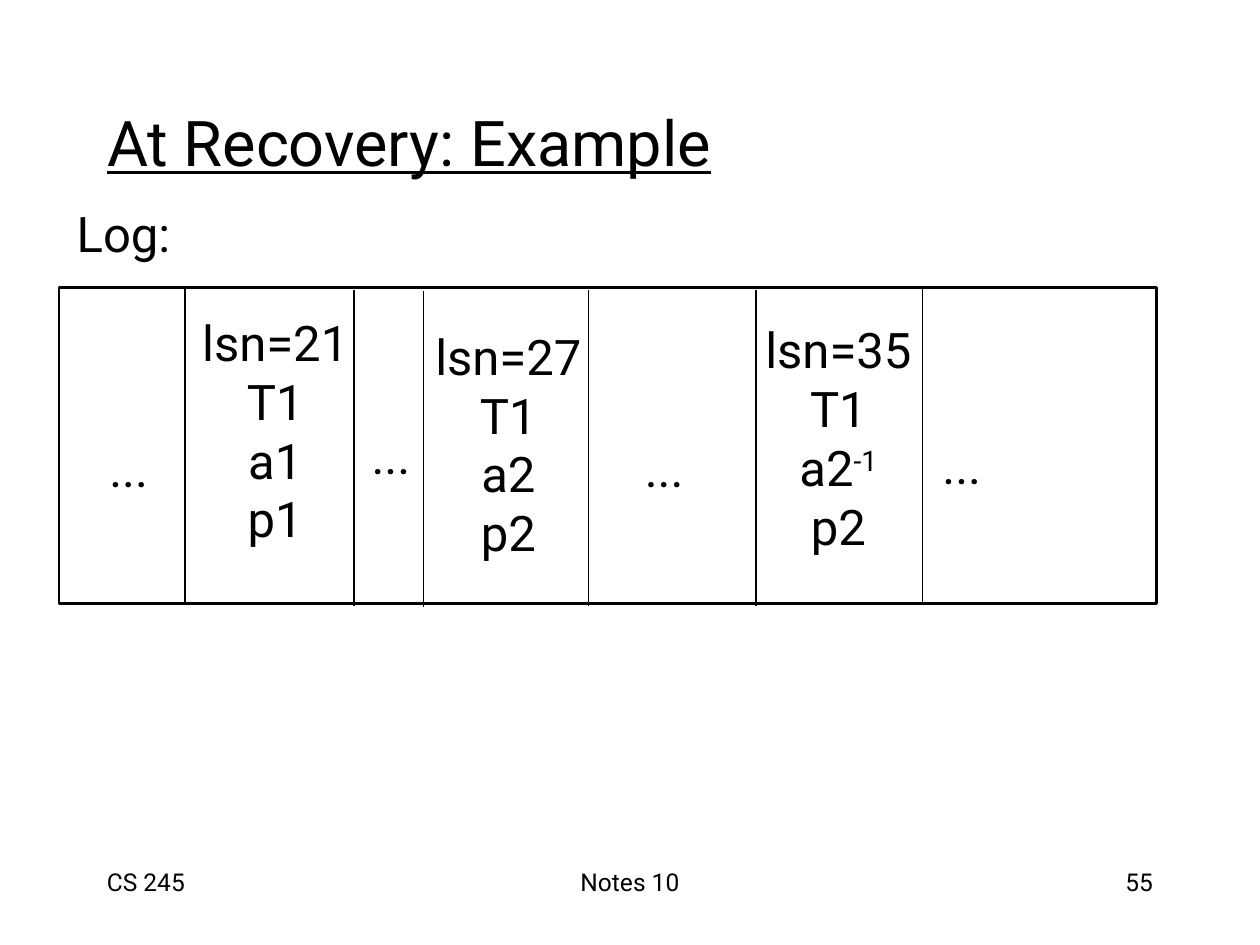
import pptx
import pptx.util
import pptx.dml.color
import pptx.enum.shapes
import pptx.enum.text
import pptx.oxml.ns
import lxml.etree

Pt = pptx.util.Pt
ALIGN = pptx.enum.text.PP_ALIGN
ANCHOR = pptx.enum.text.MSO_ANCHOR
COLORS = {"ink": "000000", "paper": "FFFFFF"}


class SlideBuilder:
    font_name = "Roboto"
    body_size = 28

    def __init__(self, page):
        self.page = page

    def color(self, name):
        return pptx.dml.color.RGBColor.from_string(COLORS[name])

    def add_run(self, para, text, size, underline=None, raised=False):
        run = para.add_run()
        run.text = text
        run.font.name = self.font_name
        run.font.size = Pt(size)
        run.font.underline = underline
        run.font.color.rgb = self.color("ink")
        if raised:
            run._r.get_or_add_rPr().set("baseline", "30000")

    def title(self, text, left, top, width, height):
        box = self.page.shapes.title
        box.left, box.top, box.width, box.height = map(Pt, (left, top, width, height))
        box.text_frame.vertical_anchor = ANCHOR.MIDDLE
        para = box.text_frame.paragraphs[0]
        para.alignment = ALIGN.LEFT
        self.add_run(para, text, 36, underline=True)

    def text(self, lines, left, top, width, height, size=body_size,
             align=ALIGN.LEFT, wrap=False):
        box = self.page.shapes.add_textbox(*map(Pt, (left, top, width, height)))
        frame = box.text_frame
        frame.word_wrap = wrap
        if not wrap:
            frame.auto_size = pptx.enum.text.MSO_AUTO_SIZE.SHAPE_TO_FIT_TEXT
        for index, line in enumerate(lines):
            para = frame.paragraphs[0] if index == 0 else frame.add_paragraph()
            para.alignment = align
            base, caret, power = line.partition("^")
            self.add_run(para, base, size)
            if power:
                self.add_run(para, power, size, raised=True)

    def rectangle(self, left, top, width, height):
        shape = self.page.shapes.add_shape(
            pptx.enum.shapes.MSO_SHAPE.RECTANGLE, *map(Pt, (left, top, width, height)))
        shape.shadow.inherit = False
        shape.fill.solid()
        shape.fill.fore_color.rgb = self.color("paper")
        shape.line.color.rgb = self.color("ink")
        shape.line.width = Pt(1.5)

    def divider(self, left, top, height):
        line = self.page.shapes.add_connector(
            pptx.enum.shapes.MSO_CONNECTOR.STRAIGHT,
            Pt(left), Pt(top), Pt(left), Pt(top + height))
        line.line.color.rgb = self.color("ink")
        line.line.width = Pt(0.75)
        lxml.etree.SubElement(line._element.spPr, pptx.oxml.ns.qn("a:effectLst"))


def main():
    deck = pptx.Presentation()
    deck.slide_width, deck.slide_height = Pt(720), Pt(540)
    builder = SlideBuilder(deck.slides.add_slide(deck.slide_layouts[5]))

    builder.title("At Recovery: Example", 54, 48, 612, 65)
    builder.text(["Log:"], 36.7, 113, 70.6, 41)

    log_top, log_height = 164.2, 180.7
    builder.rectangle(33.8, log_top, 627, log_height)
    dividers = [(105.8, 0), (202.3, 1.4), (242, 2.2),
                (336.2, 1.4), (432, 1.4), (527, 0)]
    for left, drop in dividers:
        builder.divider(left, log_top + drop, log_height)

    records = [
        (107.3, 175, ["lsn=21", "T1", "a1", "p1"]),
        (240.5, 182.9, ["lsn=27", "T1", "a2", "p2"]),
        (429.1, 179.3, ["lsn=35", "T1", "a2^-1", "p2"]),
    ]
    for left, top, lines in records:
        builder.text(lines, left, top, 100, 141.8, align=ALIGN.CENTER)

    for left, top in [(55.4, 247), (205.2, 239.8), (361.4, 247), (531.4, 245.5)]:
        builder.text(["..."], left, top, 36.7, 41)

    footers = [
        ("CS 245", 54, 150, ALIGN.LEFT),
        ("Notes 10", 246, 228, ALIGN.CENTER),
        ("55", 516, 150, ALIGN.RIGHT),
    ]
    for label, left, width, align in footers:
        builder.text([label], left, 492, width, 36, size=14, align=align, wrap=True)

    deck.save("out.pptx")


if __name__ == "__main__":
    main()
